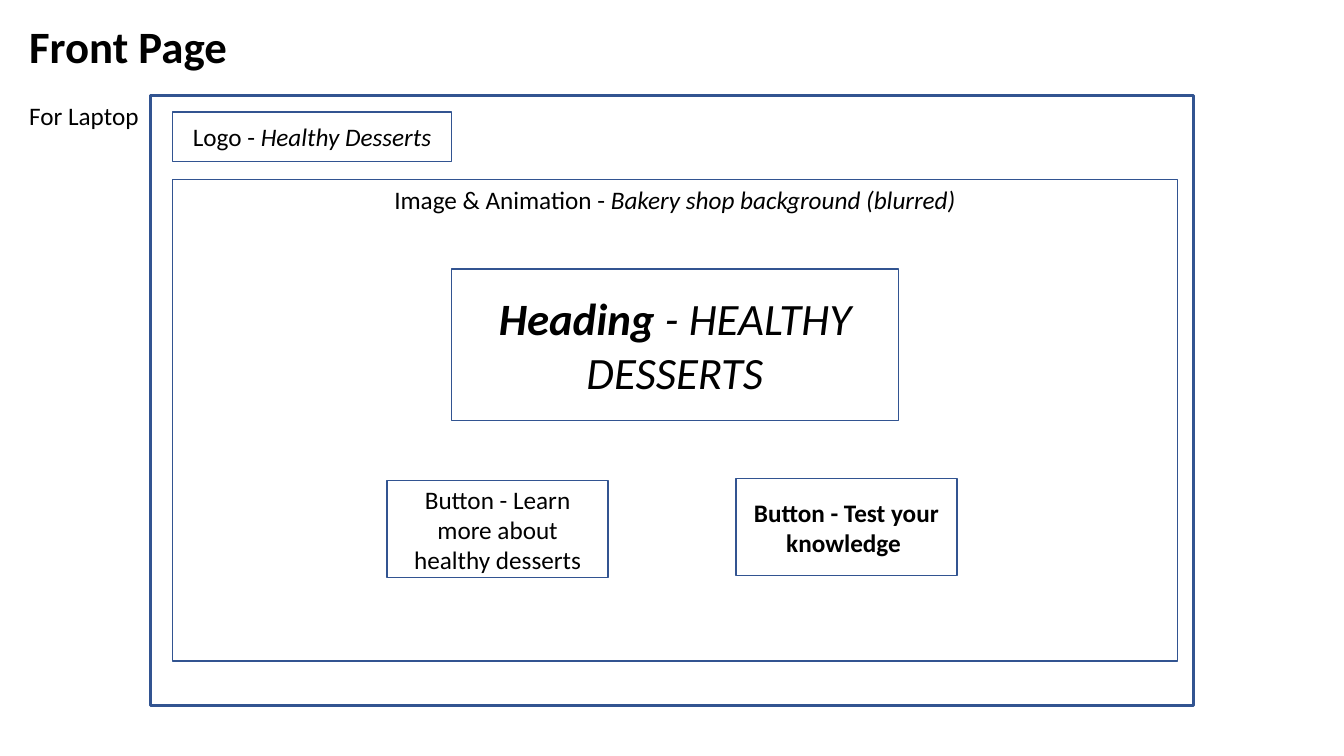
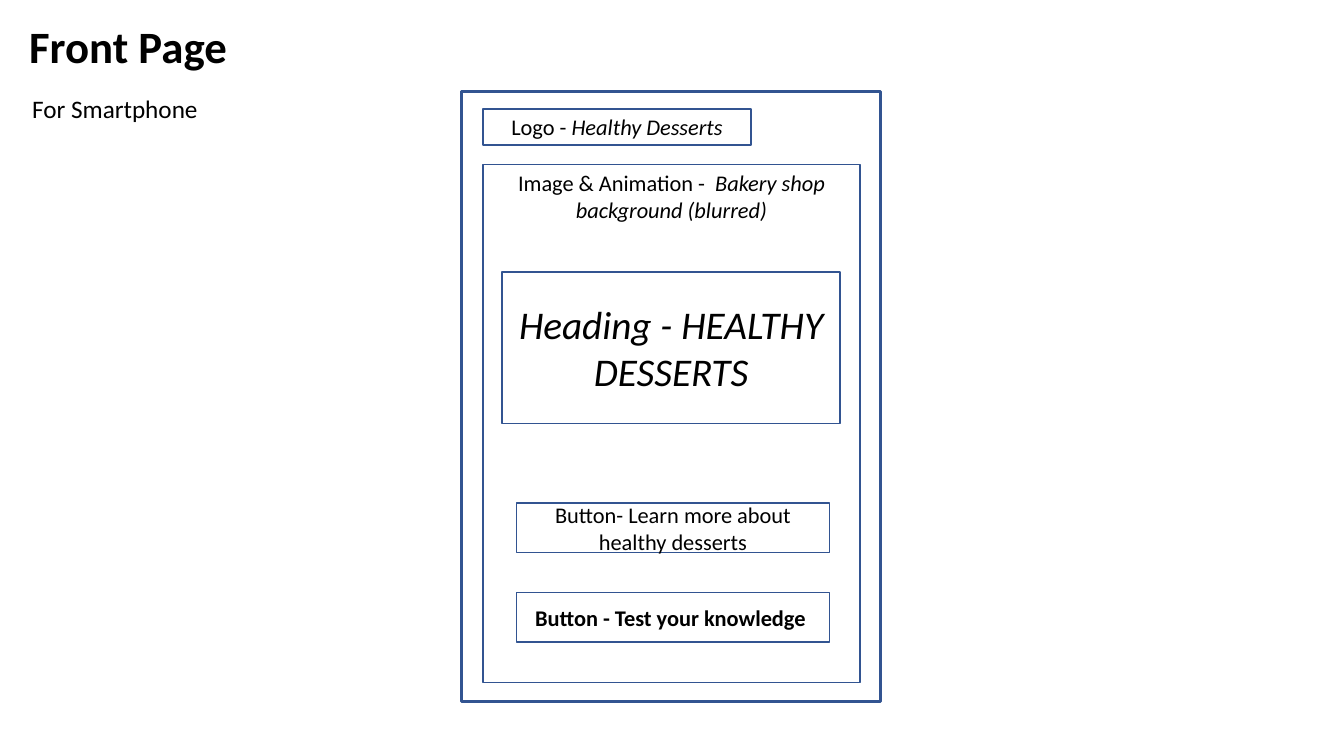
from pptx import Presentation
from pptx.dml.color import RGBColor
from pptx.enum.shapes import MSO_SHAPE
from pptx.enum.text import MSO_ANCHOR as ANCHOR, MSO_AUTO_SIZE as AUTO, PP_ALIGN as ALIGN
from pptx.util import Inches, Pt

# Shared style
FONT = "Calibri"
TEXT_COLOR = "000000"
LINE_COLOR = "325491"
BLANK_LAYOUT = 6
BODY, TITLE = 18, 32
BOLD = {"bold": True}
ITALIC = {"italic": True}
BOLD_ITALIC = {**BOLD, **ITALIC}


def color(value):
    return RGBColor.from_string(value)


def write_runs(p, runs, size):
    """Add (text, format) runs to a paragraph."""
    for text, fmt in runs:
        r = p.add_run()
        r.text = text
        r.font.color.rgb = color(TEXT_COLOR)
        for name, value in {"name": FONT, "size": Pt(size), **fmt}.items():
            setattr(r.font, name, value)


def add_label(s, box, text, size=BODY, fmt=None):
    """Add one unwrapped line of text."""
    tf = s.shapes.add_textbox(*map(Inches, box)).text_frame
    tf.word_wrap = False
    tf.auto_size = AUTO.SHAPE_TO_FIT_TEXT
    write_runs(tf.paragraphs[0], [(text, fmt or {})], size)


def add_box(s, box, runs=(), size=BODY, anchor=ANCHOR.MIDDLE, weight=1):
    """Add an outlined wireframe box with centred text."""
    sp = s.shapes.add_shape(MSO_SHAPE.RECTANGLE, *map(Inches, box))
    sp.shadow.inherit = False
    sp.fill.background()
    sp.line.color.rgb = color(LINE_COLOR)
    sp.line.width = Pt(weight)
    tf = sp.text_frame
    tf.word_wrap = True
    tf.vertical_anchor = anchor
    p = tf.paragraphs[0]
    p.alignment = ALIGN.CENTER
    write_runs(p, runs, size)


def add_wireframe(prs, device, label_box, frame, image, boxes, size):
    """Add a slide with its title, device label, screen frame and parts."""
    s = prs.slides.add_slide(prs.slide_layouts[BLANK_LAYOUT])
    add_label(s, (0.19, 0.14, 2.18, 0.64), "Front Page", TITLE, BOLD)
    add_label(s, label_box, device)
    add_box(s, frame, weight=2)
    image_box, image_runs = image
    add_box(s, image_box, image_runs, size, ANCHOR.TOP)
    for box, runs, box_size in boxes:
        add_box(s, box, runs, box_size)


def main():
    prs = Presentation()
    prs.slide_width, prs.slide_height = Inches(13.33), Inches(7.5)

    # Wording used on both screens
    logo = [("Logo - ", {}), ("Healthy Desserts", ITALIC)]
    background = ("Bakery shop background (blurred)", ITALIC)
    quiz = [("Button - Test your knowledge ", BOLD)]

    # Laptop screen
    add_wireframe(
        prs, "For Laptop", (0.19, 0.95, 1.3, 0.4),
        frame=(1.49, 0.95, 10.35, 6.05),
        image=((1.71, 1.78, 9.97, 4.78), [("Image & Animation - ", {}), background]),
        boxes=[
            ((1.71, 1.11, 2.77, 0.49), logo, BODY),
            ((4.48, 2.67, 4.43, 1.5),
             [("Heading ", BOLD_ITALIC), ("- HEALTHY DESSERTS", ITALIC)], 32),
            ((3.84, 4.77, 2.19, 0.96),
             [("Button - Learn more about healthy desserts", {})], BODY),
            ((7.3, 4.75, 2.19, 0.96), quiz, BODY),
        ],
        size=BODY)

    # Smartphone screen
    small = 16
    add_wireframe(
        prs, "For Smartphone", (0.22, 0.88, 1.92, 0.4),
        frame=(4.58, 0.91, 4.15, 6.05),
        image=((4.79, 1.63, 3.74, 5.14), [("Image & Animation -  ", {}), background]),
        boxes=[
            ((4.79, 1.08, 2.66, 0.36), logo, small),
            ((4.98, 2.7, 3.35, 1.5), [("Heading - HEALTHY DESSERTS", ITALIC)], 28),
            ((5.12, 4.99, 3.11, 0.49),
             [("Button- Learn more about healthy desserts", {})], small),
            ((5.12, 5.88, 3.11, 0.49), quiz, small),
        ],
        size=small)

    prs.save("out.pptx")


if __name__ == "__main__":
    main()
